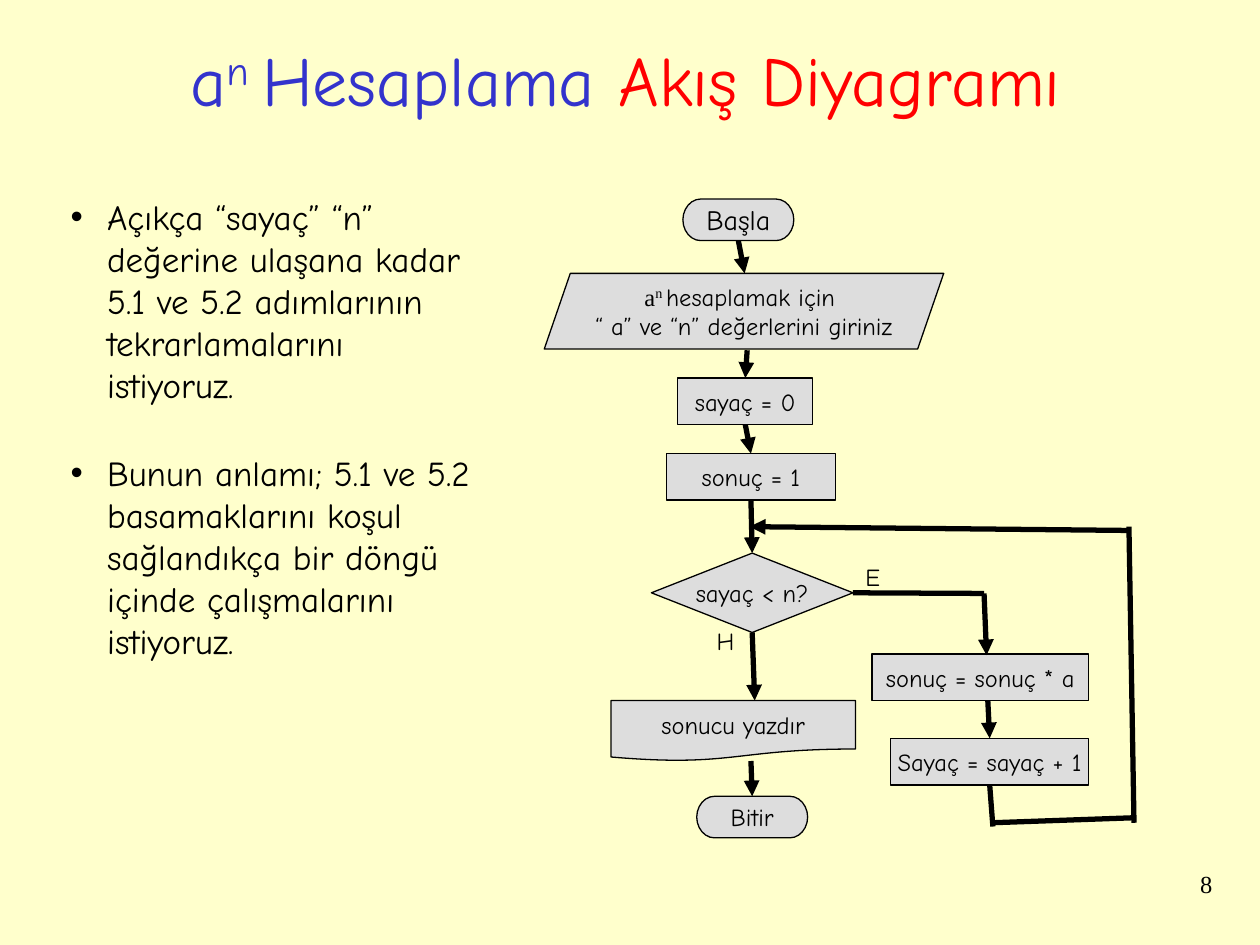
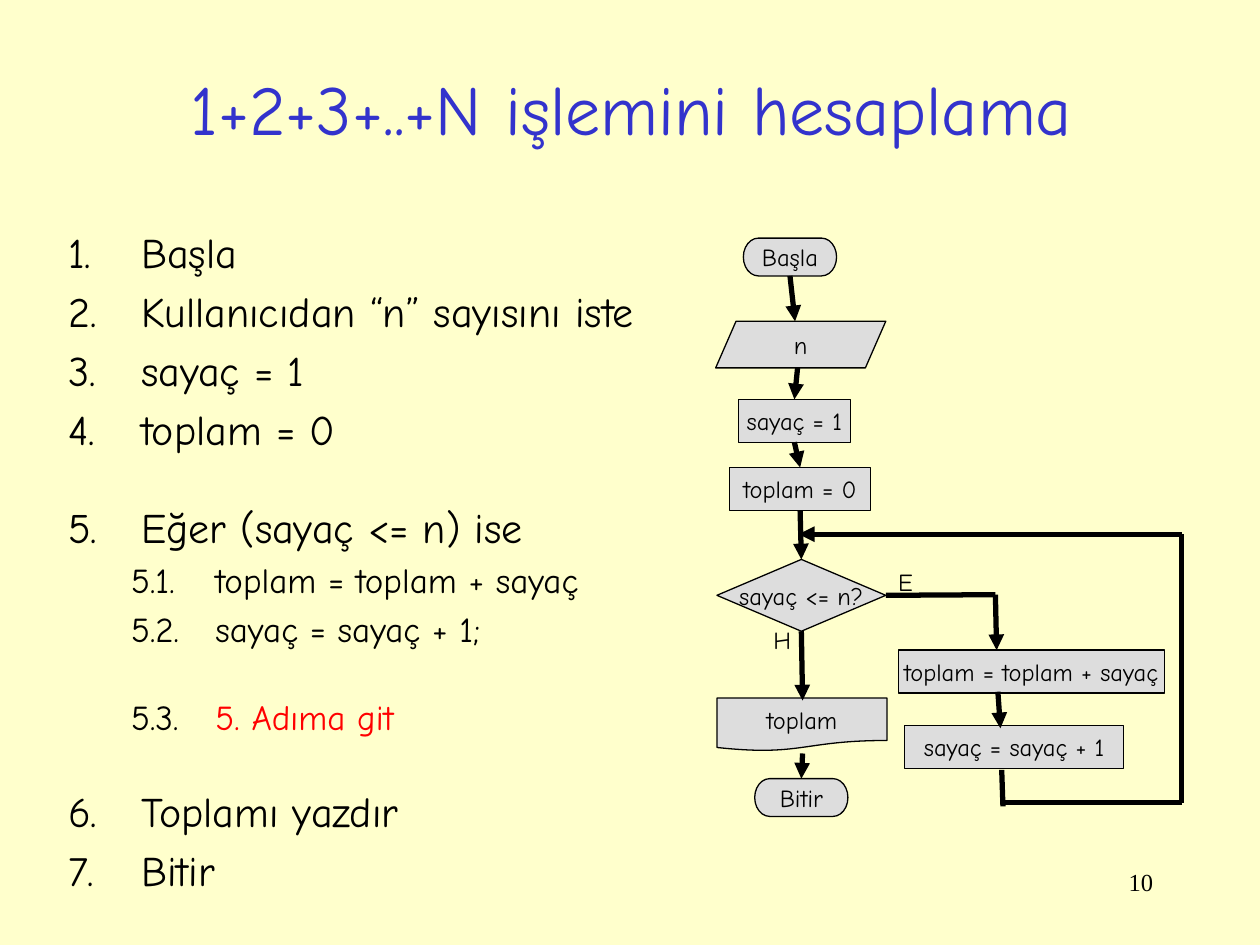
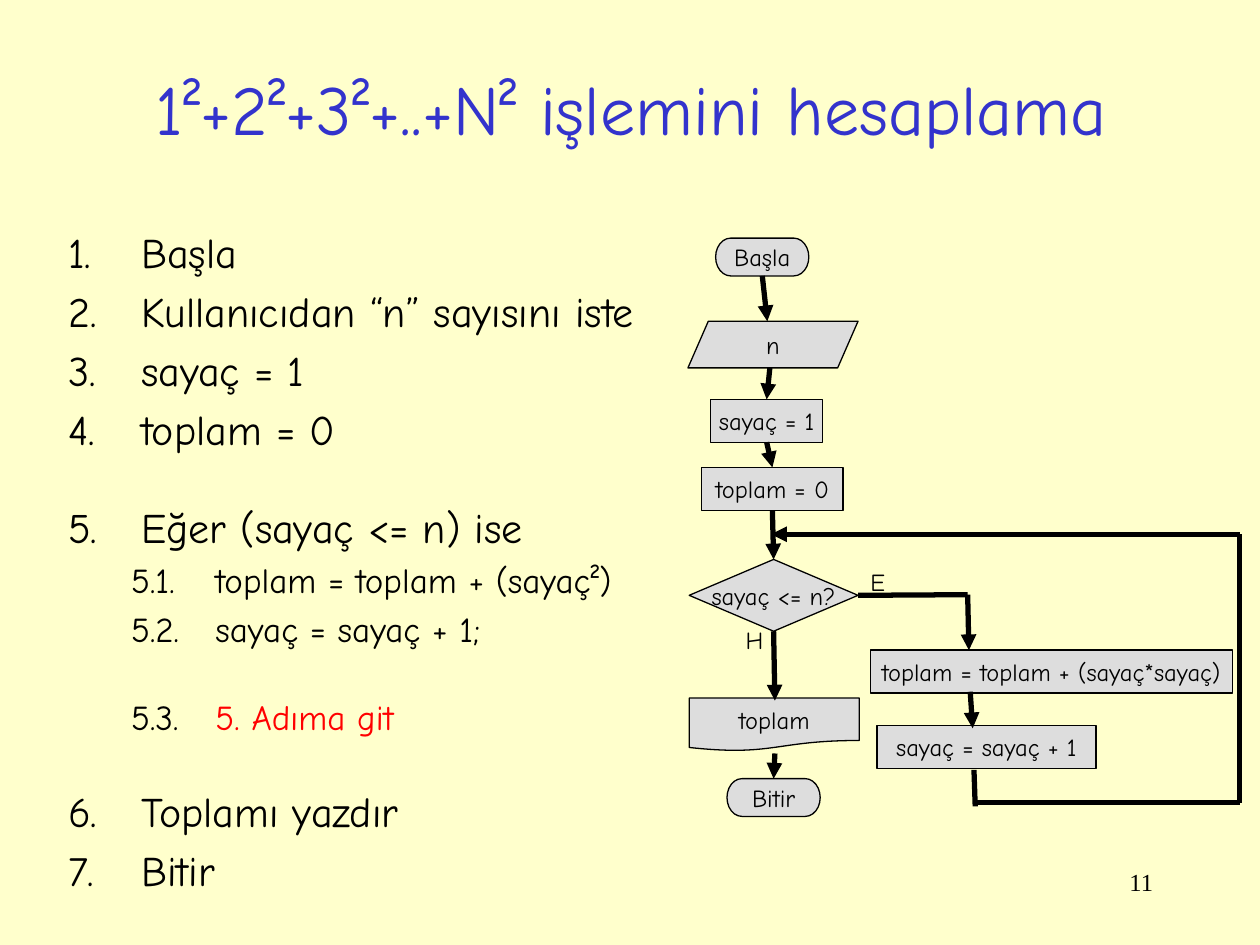
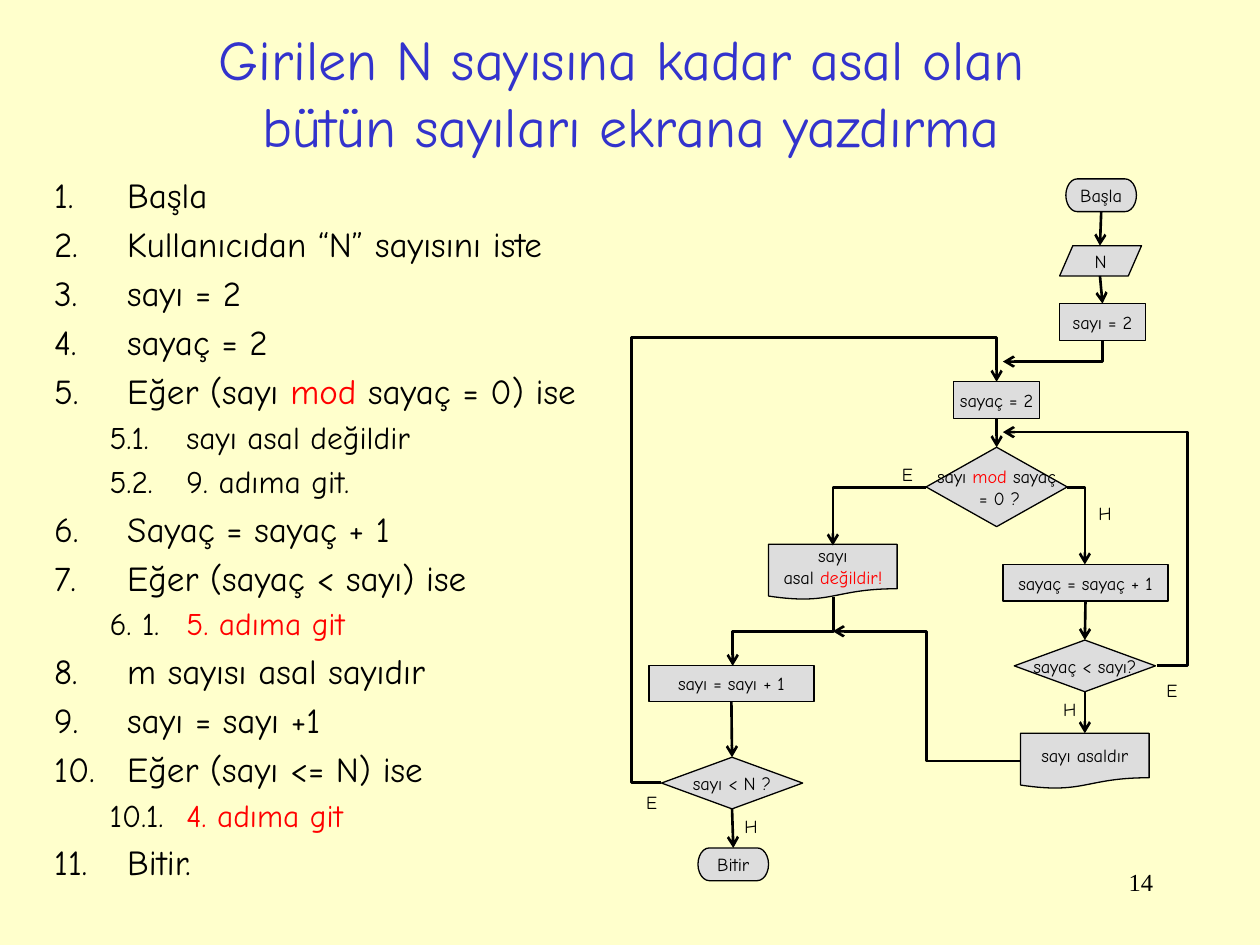
"""Build four slides that pair algorithm steps with their flowcharts."""
from typing import NamedTuple, Optional, Sequence, Union

from lxml.etree import SubElement
from pptx import Presentation
from pptx.dml.color import RGBColor
from pptx.enum.shapes import MSO_CONNECTOR, MSO_SHAPE
from pptx.enum.text import MSO_ANCHOR, MSO_AUTO_SIZE, PP_ALIGN
from pptx.oxml.ns import qn
from pptx.util import Inches, Pt

CREAM, GREY, BLACK, BLUE, RED = "FFFFCC", "DDDDDD", "000000", "3333CC", "FF0000"
COMIC, TIMES = "Comic Neue", "Times New Roman"
RECT, DIAMOND = MSO_SHAPE.RECTANGLE, MSO_SHAPE.FLOWCHART_DECISION
PILL, PAPER = MSO_SHAPE.FLOWCHART_TERMINATOR, MSO_SHAPE.FLOWCHART_DOCUMENT
INPUT = MSO_SHAPE.PARALLELOGRAM
JOINABLE = (RECT, DIAMOND, PILL)
JOIN_REACH = 0.035
HANG = 0.58
SECTION_GAP = 22.4


class Span(NamedTuple):
    """A piece of text with one look."""
    text: str
    color: Optional[str] = None
    raised: bool = False
    font: str = COMIC


Rich = Union[str, tuple]


class Frame(NamedTuple):
    """A rectangle on the slide, in inches."""
    left: float
    top: float
    width: float
    height: float


class Box(NamedTuple):
    """A flowchart box with centred lines of text."""
    kind: MSO_SHAPE
    left: float
    top: float
    width: float
    height: float
    lines: Sequence[Rich]
    size: Optional[float] = None
    slant: float = 0.437


class Label(NamedTuple):
    """A branch letter beside a decision."""
    text: str
    left: float
    top: float
    width: float
    height: float


class Line(NamedTuple):
    """A straight line, with an arrowhead at its end if wanted."""
    start_x: float
    start_y: float
    end_x: float
    end_y: float
    arrow: bool = True


class Bend(NamedTuple):
    """An elbow arrow: preset, unrotated frame, turn, flips and adjustments."""
    preset: str
    left: float
    top: float
    width: float
    height: float
    turn: int = 0
    flips: str = ""
    adjust: Sequence[float] = ()


class Flow(NamedTuple):
    """A whole flowchart and its shared look."""
    boxes: Sequence[Box]
    labels: Sequence[Label]
    lines: Sequence[Line]
    bends: Sequence[Bend] = ()
    size: float = 14
    weight: float = 3
    head: str = "triangle"
    shift: float = 0


class Step(NamedTuple):
    """One list entry; a gap sets it apart from the entry above."""
    content: Rich
    level: int = 0
    gap: bool = False


class ListStyle(NamedTuple):
    """Sizes and indents of a step list."""
    size: float
    margin: float = HANG
    bullet: str = ""
    sub_size: float = 20
    sub_start: float = 0.5
    sub_margin: float = 1.17


class Page(NamedTuple):
    """Everything that one slide shows."""
    number: str
    number_frame: Frame
    title: Sequence[Rich]
    title_frame: Frame
    title_size: float
    steps: Sequence[Step]
    list_frame: Frame
    list_style: ListStyle
    flow: Flow


def paint(color: str) -> RGBColor:
    """Turn a hex string into a colour."""
    return RGBColor.from_string(color)


def place(shape, frame: Frame) -> None:
    """Move and size a shape."""
    shape.left, shape.top, shape.width, shape.height = map(Inches, frame)


def style_run(run, span: Span, size: float, color: str) -> None:
    """Give a run the look of its span."""
    run.font.name = span.font
    run.font.size = Pt(size)
    run.font.color.rgb = paint(span.color or color)
    if span.raised:
        run._r.get_or_add_rPr().set("baseline", "30000")


def write_paragraph(paragraph, content: Rich, size: float, color: str = BLACK) -> None:
    """Fill a paragraph with formatted spans."""
    spans = (Span(content),) if isinstance(content, str) else content
    for span in spans:
        run = paragraph.add_run()
        run.text = span.text
        style_run(run, span, size, color)


def write_lines(frame, lines: Sequence[Rich], size: float, color: str = BLACK,
                align=PP_ALIGN.CENTER) -> None:
    """Write one paragraph for each line."""
    for index, content in enumerate(lines):
        paragraph = frame.add_paragraph() if index else frame.paragraphs[0]
        paragraph.alignment = align
        write_paragraph(paragraph, content, size, color)


def indent(paragraph, margin: float, first: float) -> None:
    """Set the left margin and the first-line indent."""
    properties = paragraph._p.get_or_add_pPr()
    properties.set("marL", str(Inches(margin)))
    properties.set("indent", str(Inches(first)))


def add_bullet(paragraph, bullet: str) -> None:
    """Give a paragraph a bullet character or an automatic number."""
    properties = paragraph._p.get_or_add_pPr()
    if bullet:
        SubElement(properties, qn("a:buChar")).set("char", bullet)
    else:
        SubElement(properties, qn("a:buFontTx"))
        SubElement(properties, qn("a:buAutoNum")).set("type", "arabicPeriod")


def write_steps(frame, steps: Sequence[Step], style: ListStyle) -> None:
    """Write the step list into the body placeholder."""
    frame.word_wrap = True
    frame.auto_size = MSO_AUTO_SIZE.NONE
    for index, step in enumerate(steps):
        paragraph = frame.add_paragraph() if index else frame.paragraphs[0]
        size = style.sub_size if step.level else style.size
        paragraph.level = step.level
        if step.gap:
            paragraph.space_before = Pt(SECTION_GAP + 0.2 * size)
        if step.level:
            indent(paragraph, style.sub_margin, style.sub_start - style.sub_margin)
            SubElement(paragraph._p.get_or_add_pPr(), qn("a:buNone"))
        else:
            indent(paragraph, style.margin, -style.margin)
            add_bullet(paragraph, style.bullet)
        write_paragraph(paragraph, step.content, size)


def draw_box(slide, box: Box, flow: Flow):
    """Draw a flowchart box and return its shape."""
    shape = slide.shapes.add_shape(
        box.kind, Inches(box.left + flow.shift), Inches(box.top),
        Inches(box.width), Inches(box.height))
    shape.shadow.inherit = False
    shape.fill.solid()
    shape.fill.fore_color.rgb = paint(GREY)
    shape.line.color.rgb = paint(BLACK)
    shape.line.width = Pt(0.75)
    frame = shape.text_frame
    frame.word_wrap = False
    frame.vertical_anchor = MSO_ANCHOR.MIDDLE
    write_lines(frame, box.lines, box.size or flow.size)
    if box.kind == INPUT:
        shape.adjustments[0] = box.slant
        for paragraph in frame.paragraphs:
            indent(paragraph, HANG, -HANG)
    return shape


def draw_label(slide, label: Label, flow: Flow) -> None:
    """Draw a branch letter."""
    box = slide.shapes.add_textbox(
        Inches(label.left + flow.shift), Inches(label.top),
        Inches(label.width), Inches(label.height))
    box.text_frame.word_wrap = False
    box.text_frame.auto_size = MSO_AUTO_SIZE.SHAPE_TO_FIT_TEXT
    write_lines(box.text_frame, [label.text], flow.size, align=PP_ALIGN.LEFT)


def style_connector(connector, flow: Flow, arrow: bool) -> None:
    """Set the stroke, the arrowhead and the absence of a shadow."""
    connector.line.color.rgb = paint(BLACK)
    connector.line.width = Pt(flow.weight)
    properties = connector._element.spPr
    if arrow:
        SubElement(properties.find(qn("a:ln")), qn("a:tailEnd")).set("type", flow.head)
    SubElement(properties, qn("a:effectLst"))


def find_joint(boxes: Sequence[Box], x: float, y: float) -> Optional[tuple]:
    """Find the box and the side whose middle lies at a point."""
    for index, box in enumerate(boxes):
        middle_x, middle_y = box.left + box.width / 2, box.top + box.height / 2
        sides = ((middle_x, box.top), (box.left, middle_y),
                 (middle_x, box.top + box.height), (box.left + box.width, middle_y))
        for side, (side_x, side_y) in enumerate(sides):
            near = max(abs(side_x - x), abs(side_y - y)) < JOIN_REACH
            if near and box.kind in JOINABLE:
                return index, side
    return None


def draw_line(slide, line: Line, flow: Flow, shapes: Sequence) -> None:
    """Draw a straight connector, joined to the boxes that it touches."""
    connector = slide.shapes.add_connector(
        MSO_CONNECTOR.STRAIGHT, Inches(line.start_x + flow.shift), Inches(line.start_y),
        Inches(line.end_x + flow.shift), Inches(line.end_y))
    start = find_joint(flow.boxes, line.start_x, line.start_y)
    end = find_joint(flow.boxes, line.end_x, line.end_y)
    if start:
        connector.begin_connect(shapes[start[0]], start[1])
    if end:
        connector.end_connect(shapes[end[0]], end[1])
    style_connector(connector, flow, line.arrow)


def draw_bend(slide, bend: Bend, flow: Flow) -> None:
    """Draw an elbow arrow."""
    connector = slide.shapes.add_connector(
        MSO_CONNECTOR.ELBOW, Inches(bend.left), Inches(bend.top),
        Inches(bend.left + bend.width), Inches(bend.top + bend.height))
    properties = connector._element.spPr
    transform = properties.find(qn("a:xfrm"))
    transform.set("rot", str(bend.turn * 60000))
    for flip in bend.flips:
        transform.set("flip" + flip.upper(), "1")
    geometry = properties.find(qn("a:prstGeom"))
    geometry.set("prst", bend.preset)
    for index, value in enumerate(bend.adjust, 1):
        guide = SubElement(geometry.find(qn("a:avLst")), qn("a:gd"))
        guide.set("name", f"adj{index}")
        guide.set("fmla", f"val {round(value * 100000)}")
    style_connector(connector, flow, True)


def draw_flow(slide, flow: Flow) -> None:
    """Draw a whole flowchart."""
    shapes = [draw_box(slide, box, flow) for box in flow.boxes]
    for label in flow.labels:
        draw_label(slide, label, flow)
    for line in flow.lines:
        draw_line(slide, line, flow, shapes)
    for bend in flow.bends:
        draw_bend(slide, bend, flow)


def draw_page(deck, page: Page) -> None:
    """Add one slide with its title, list, flowchart and number."""
    slide = deck.slides.add_slide(deck.slide_layouts[1])
    title, body = slide.shapes.title, slide.placeholders[1]
    place(title, page.title_frame)
    title.text_frame.vertical_anchor = MSO_ANCHOR.MIDDLE
    title.text_frame.auto_size = MSO_AUTO_SIZE.NONE
    write_lines(title.text_frame, page.title, page.title_size, BLUE)
    place(body, page.list_frame)
    write_steps(body.text_frame, page.steps, page.list_style)
    draw_flow(slide, page.flow)
    number = slide.shapes.add_textbox(*map(Inches, page.number_frame))
    number.text_frame.word_wrap = True
    write_lines(number.text_frame, [(Span(page.number, font=TIMES),)], 14,
                align=PP_ALIGN.RIGHT)


NUMBER_FRAME = Frame(7.17, 6.83, 2.08, 0.5)

POWER_FLOW = Flow(
    boxes=(
        Box(PILL, 5.42, 1.58, 0.88, 0.33, ["Başla"], 16),
        Box(INPUT, 4.32, 2.17, 3.17, 0.6, [
            (Span("a", font=TIMES), Span("n ", raised=True, font=TIMES),
             Span("hesaplamak için ")),
            "“ a” ve “n” değerlerini giriniz"], slant=0.344),
        Box(RECT, 5.38, 3, 1.07, 0.37, ["sayaç = 0"]),
        Box(RECT, 5.29, 3.6, 1.34, 0.37, ["sonuç = 1"]),
        Box(DIAMOND, 5.17, 4.39, 1.6, 0.63, ["sayaç < n?"]),
        Box(PAPER, 4.85, 5.56, 1.94, 0.48, ["sonucu yazdır"]),
        Box(PILL, 5.53, 6.32, 0.88, 0.33, ["Bitir"]),
        Box(RECT, 6.92, 5.19, 1.72, 0.37, ["sonuç = sonuç * a"]),
        Box(RECT, 7.07, 5.86, 1.57, 0.37, ["Sayaç = sayaç + 1"]),
    ),
    labels=(Label("H", 5.59, 4.92, 0.33, 0.34), Label("E", 6.77, 4.41, 0.3, 0.34)),
    lines=(
        Line(5.89, 1.94, 5.91, 2.17), Line(5.93, 2.78, 5.94, 3.01),
        Line(5.93, 3.37, 5.94, 3.6), Line(5.97, 3.97, 5.98, 4.41),
        Line(5.98, 5.03, 5.99, 5.56), Line(5.96, 6.04, 5.99, 6.33),
        Line(6.79, 4.71, 7.81, 4.71, False), Line(7.81, 4.71, 7.83, 5.2),
        Line(7.84, 5.56, 7.85, 5.88), Line(7.86, 6.24, 7.88, 6.56, False),
        Line(7.87, 6.53, 9.01, 6.49, False), Line(9, 6.53, 8.96, 4.18, False),
        Line(8.95, 4.21, 5.95, 4.18),
    ),
)

PRIME_FLOW = Flow(
    boxes=(
        Box(PILL, 8.46, 1.42, 0.56, 0.26, ["Başla"]),
        Box(INPUT, 8.41, 1.95, 0.65, 0.24, ["N"]),
        Box(RECT, 8.41, 2.41, 0.68, 0.29, ["sayı = 2"]),
        Box(RECT, 7.57, 3.03, 0.68, 0.29, ["sayaç = 2"]),
        Box(DIAMOND, 7.35, 3.55, 1.12, 0.63, [
            (Span("sayı "), Span("mod", RED), Span(" sayaç")), " = 0 ?"]),
        Box(PAPER, 6.1, 4.32, 1.02, 0.44, [
            "sayı", (Span("asal "), Span("değildir!", RED))]),
        Box(RECT, 7.96, 4.48, 1.31, 0.29, ["sayaç = sayaç + 1"]),
        Box(DIAMOND, 8.05, 5.08, 1.12, 0.41, ["sayaç < sayı?"]),
        Box(PAPER, 8.1, 5.82, 1.02, 0.44, ["sayı asaldır"]),
        Box(RECT, 5.15, 5.28, 1.31, 0.29, ["sayı = sayı + 1"]),
        Box(DIAMOND, 5.25, 6.01, 1.12, 0.41, ["sayı < N ?"]),
        Box(PILL, 5.54, 6.73, 0.56, 0.26, ["Bitir"]),
    ),
    labels=(
        Label("H", 8.62, 3.94, 0.24, 0.24), Label("E", 7.06, 3.63, 0.23, 0.24),
        Label("E", 9.16, 5.34, 0.23, 0.24), Label("H", 8.34, 5.49, 0.24, 0.24),
        Label("E", 5.03, 6.23, 0.23, 0.24), Label("H", 5.81, 6.42, 0.32, 0.28),
    ),
    lines=(
        Line(8.74, 1.67, 8.73, 1.95), Line(8.73, 2.19, 8.75, 2.41),
        Line(7.91, 3.32, 7.91, 3.55), Line(8.61, 4.76, 8.61, 5.08),
        Line(8.61, 5.49, 8.61, 5.82), Line(5.81, 5.57, 5.81, 6.01),
        Line(5.81, 6.42, 5.81, 6.73),
    ),
    bends=(
        Bend("bentConnector2", 8.27, 2.39, 0.17, 0.79, 90),
        Bend("bentConnector2", 8.47, 3.87, 0.14, 0.61),
        Bend("bentConnector4", 7.96, 3.43, 1.22, 1.85, 0, "hv", (-0.2, 1)),
        Bend("bentConnector2", 6.61, 3.87, 0.74, 0.46, 180, "v"),
        Bend("bentConnector3", 5.94, 4.61, 0.55, 0.8, 90, "", (0.5,)),
        Bend("bentConnector3", 6.61, 5.01, 1.49, 1.03, 180, "", (0.5,)),
        Bend("bentConnector4", 5.25, 3.03, 2.66, 3.18, 180, "h", (-0.09, 1.11)),
    ),
    size=10.5, weight=1.5, head="arrow",
)


def sum_flow(shift: float, addition: str, addition_width: float, loop_x: float) -> Flow:
    """Describe the flowchart of a running sum."""
    return Flow(
        boxes=(
            Box(PILL, 5.9, 1.89, 0.74, 0.3, ["Başla"]),
            Box(INPUT, 5.68, 2.55, 1.35, 0.37, ["n"]),
            Box(RECT, 5.86, 3.17, 0.89, 0.34, ["sayaç = 1"]),
            Box(RECT, 5.79, 3.71, 1.12, 0.34, ["toplam = 0"]),
            Box(DIAMOND, 5.69, 4.44, 1.34, 0.57, ["sayaç <= n?"]),
            Box(PAPER, 5.69, 5.54, 1.35, 0.42, ["toplam"]),
            Box(PILL, 5.99, 6.18, 0.74, 0.3, ["Bitir"]),
            Box(RECT, 7.13, 5.16, addition_width, 0.34, [addition]),
            Box(RECT, 7.18, 5.76, 1.74, 0.34, ["sayaç = sayaç + 1"]),
        ),
        labels=(Label("H", 6.04, 4.91, 0.31, 0.32), Label("E", 7.03, 4.45, 0.28, 0.32)),
        lines=(
            Line(6.3, 2.21, 6.31, 2.55), Line(6.33, 2.92, 6.34, 3.18),
            Line(6.33, 3.51, 6.34, 3.72), Line(6.36, 4.05, 6.37, 4.45),
            Line(6.37, 5.01, 6.37, 5.56), Line(6.37, 5.98, 6.38, 6.19),
            Line(7.05, 4.72, 7.9, 4.72, False), Line(7.9, 4.72, 7.91, 5.16),
            Line(7.92, 5.49, 7.94, 5.78), Line(7.95, 6.11, 7.96, 6.4, False),
            Line(7.95, 6.37, loop_x, 6.37, False), Line(loop_x, 6.37, loop_x, 4.24, False),
            Line(loop_x, 4.24, 6.34, 4.24),
        ),
        shift=shift,
    )


def sum_page(number: str, title: str, addition: str, flow: Flow) -> Page:
    """Describe a slide about a running sum."""
    steps = (
        Step("Başla"), Step("Kullanıcıdan “n” sayısını iste"), Step("sayaç = 1"),
        Step("toplam = 0"), Step("Eğer (sayaç <= n) ise", gap=True),
        Step(f"5.1.\t{addition}", 1), Step("5.2.\tsayaç = sayaç + 1;", 1),
        Step((Span("5.3.\t"), Span("5. Adıma git", RED)), 1, True),
        Step("Toplamı yazdır", gap=True), Step("Bitir"),
    )
    return Page(number, NUMBER_FRAME, [title], Frame(0.37, 0.26, 9.28, 1.18), 40,
                steps, Frame(0.44, 1.75, 5.14, 5.18), ListStyle(24), flow)


PAGES = (
    Page("8", Frame(7.64, 6.85, 2.08, 0.5),
         [(Span("a"), Span("n ", raised=True), Span("Hesaplama "),
           Span("Akış Diyagramı", RED))],
         Frame(0.19, 0.26, 9.55, 0.72), 40,
         (Step("Açıkça “sayaç” “n” değerine ulaşana kadar 5.1 ve 5.2 adımlarının "
               "tekrarlamalarını istiyoruz."),
          Step("Bunun anlamı; 5.1 ve 5.2 basamaklarını koşul sağlandıkça bir döngü "
               "içinde çalışmalarını istiyoruz.", gap=True)),
         Frame(0.46, 1.5, 3.38, 5.15), ListStyle(20, 0.29, "•"), POWER_FLOW),
    sum_page("10", "1+2+3+..+N işlemini hesaplama", "toplam = toplam + sayaç",
             sum_flow(0, "toplam = toplam + sayaç", 2.11, 9.38)),
    sum_page("11", "1²+2²+3²+..+N² işlemini hesaplama", "toplam = toplam + (sayaç²)",
             sum_flow(-0.22, "toplam = toplam + (sayaç*sayaç)", 2.87, 10.06)),
    Page("14", NUMBER_FRAME,
         ["Girilen N sayısına kadar asal olan ", "bütün sayıları ekrana yazdırma"],
         Frame(0.37, 0.26, 9.28, 0.94), 32,
         (Step("Başla"), Step("Kullanıcıdan “N” sayısını iste"), Step("sayı = 2"),
          Step("sayaç = 2"),
          Step((Span("Eğer (sayı "), Span("mod", RED), Span(" sayaç = 0) ise"))),
          Step("5.1.\tsayı asal değildir", 1), Step("5.2.\t9. adıma git.", 1),
          Step("Sayaç = sayaç + 1"), Step("Eğer (sayaç < sayı) ise"),
          Step((Span("6. 1.\t"), Span("5. adıma git", RED)), 1),
          Step("m sayısı asal sayıdır"), Step("sayı = sayı +1"),
          Step("Eğer (sayı <= N) ise"),
          Step((Span("10.1.\t"), Span("4. adıma git", RED)), 1), Step("Bitir.")),
         Frame(0.33, 1.33, 5.24, 5.87),
         ListStyle(20, sub_size=18, sub_start=0.44, sub_margin=1.05), PRIME_FLOW),
)


def main() -> None:
    """Build and save the deck."""
    deck = Presentation()
    deck.slide_width, deck.slide_height = Inches(10), Inches(7.5)
    background = deck.slide_master.background.fill
    background.solid()
    background.fore_color.rgb = paint(CREAM)
    for page in PAGES:
        draw_page(deck, page)
    deck.save("out.pptx")


if __name__ == "__main__":
    main()
